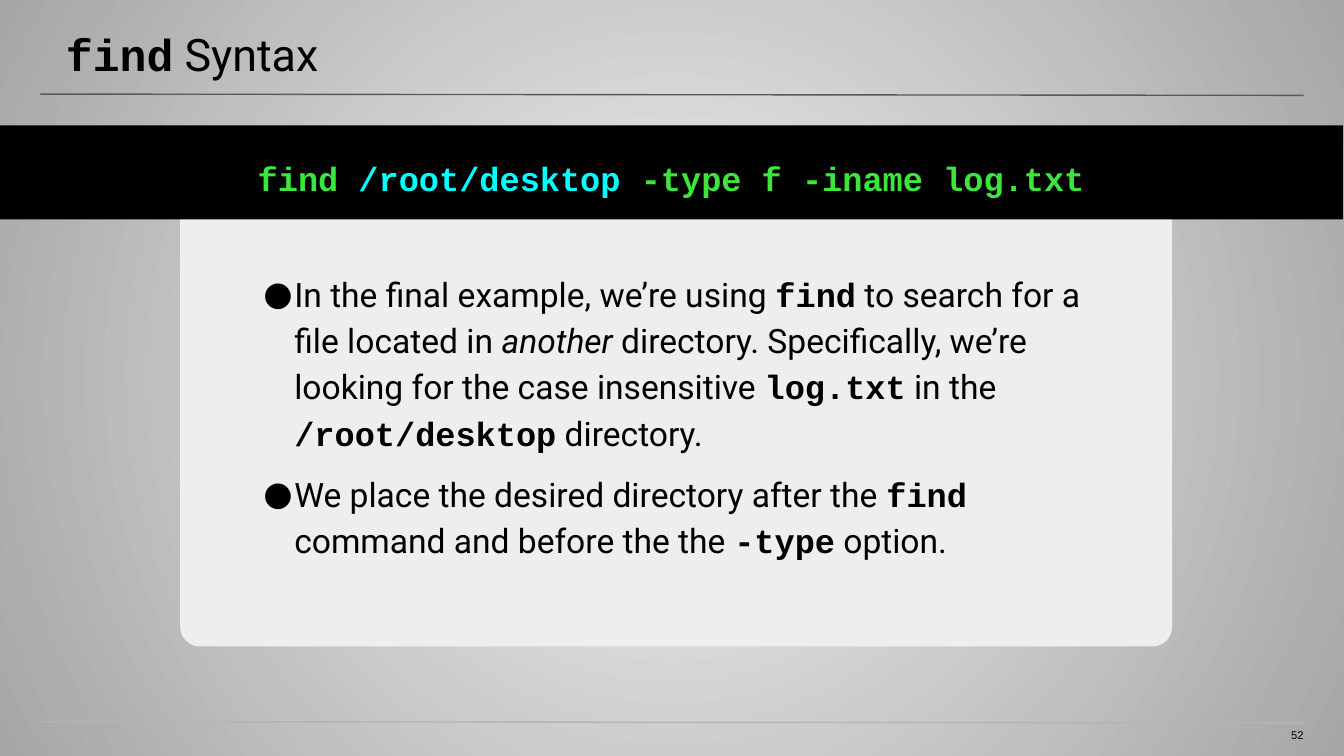
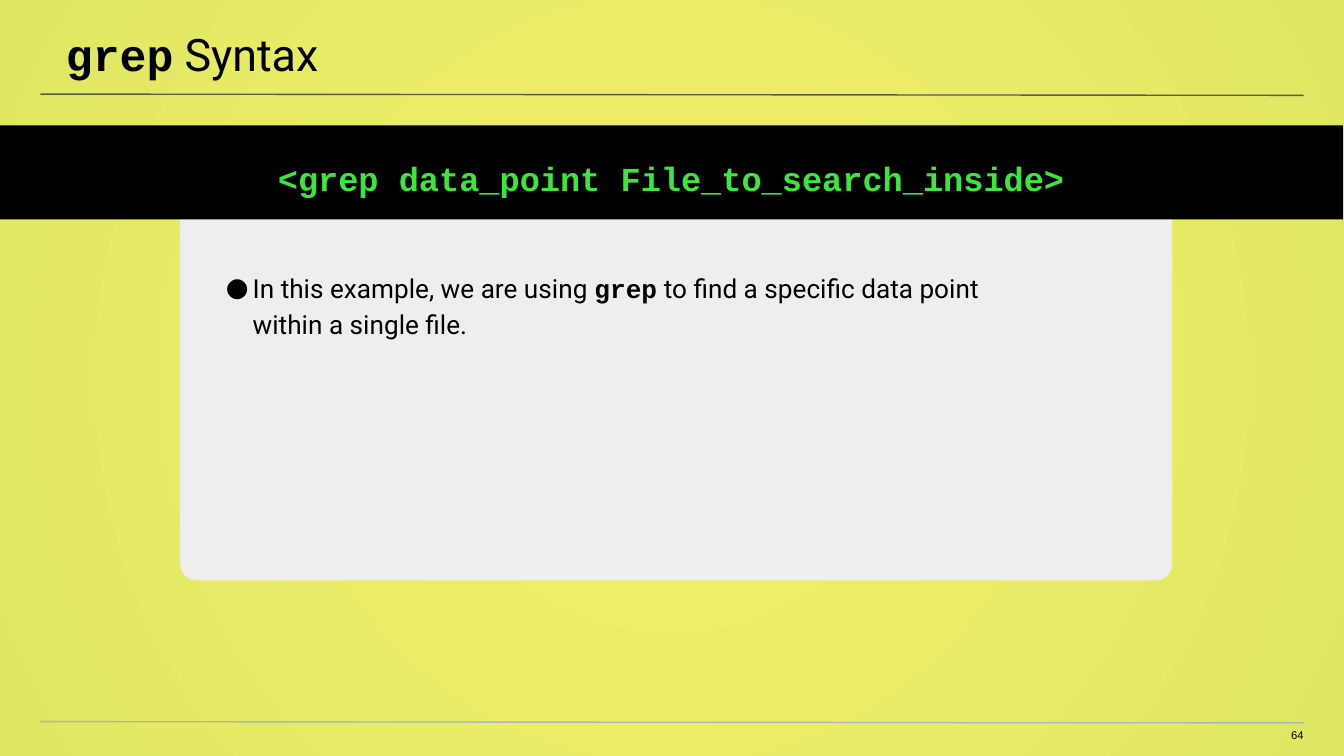
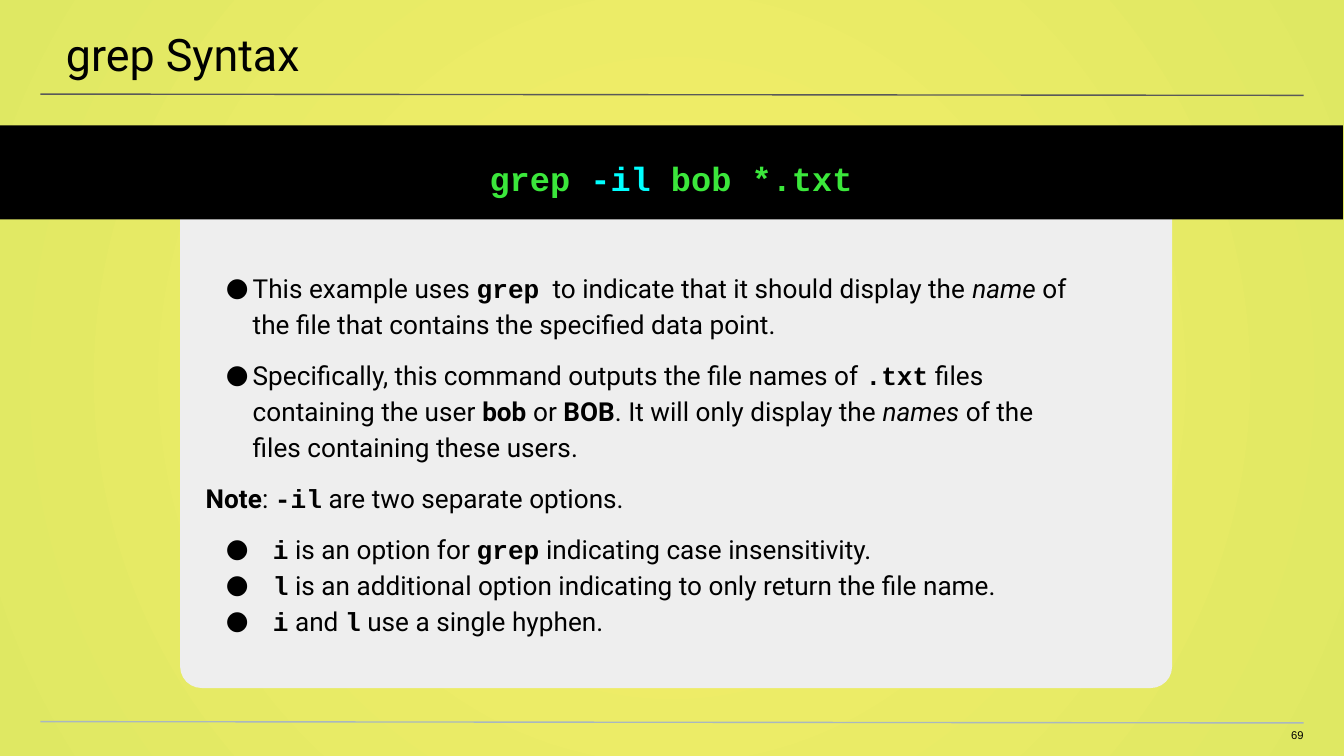
from lxml import etree
from pptx import Presentation
from pptx.dml.color import RGBColor
from pptx.enum import shapes, text
from pptx.oxml import parse_xml
from pptx.oxml.ns import nsdecls, qn
from pptx.util import Pt

BLACK = RGBColor(0x00, 0x00, 0x00)
PANEL = RGBColor(0xEE, 0xEE, 0xEE)
GREEN = RGBColor(0x3B, 0xE7, 0x3B)
CYAN = RGBColor(0x00, 0xFF, 0xFF)
TITLE_RULE = RGBColor(0x59, 0x59, 0x59)
FOOTER_RULE = RGBColor(0xA9, 0xB7, 0xC0)

GREY_GLOW = ('<a:srgbClr val="F2F2F2"/>', '<a:srgbClr val="A6A6A6"/>')
YELLOW_GLOW = ('<a:srgbClr val="F7EF6A"><a:alpha val="50000"/></a:srgbClr>',
               '<a:srgbClr val="DFE863"/>')

PLAIN, CODE, BOLD, ITALIC = "plain", "code", "bold", "italic"


def add_run(paragraph, words, size, style=PLAIN, color=BLACK, font=None):
    run = paragraph.add_run()
    run.text = words
    run.font.name = font or ("Courier New" if style == CODE else "Roboto")
    run.font.size = Pt(size)
    run.font.bold = style in (CODE, BOLD)
    run.font.italic = style == ITALIC
    run.font.color.rgb = color


def set_frame(frame, left, top, right, bottom):
    frame.word_wrap = True
    frame.auto_size = text.MSO_AUTO_SIZE.NONE
    frame.vertical_anchor = text.MSO_ANCHOR.TOP
    frame.margin_left, frame.margin_top = Pt(left), Pt(top)
    frame.margin_right, frame.margin_bottom = Pt(right), Pt(bottom)
    return frame.paragraphs[0]


lessons = [
    {
        "page": "52", "glow": GREY_GLOW, "panel_height": 233.3,
        "title": [("find", CODE), (" Syntax", PLAIN)],
        "command": [("find ", GREEN), ("/root/desktop", CYAN),
                    (" -type f -iname log.txt", GREEN)],
        "notes_box": (96.5, 537, 185), "size": 18,
        "notes": [
            (0, 25.2, -16.6, [
                ("In the final example, we’re using ", PLAIN), ("find", CODE),
                (" to search for a file located in ", PLAIN), ("another", ITALIC),
                (" directory. Specifically, we’re looking for the case insensitive ", PLAIN),
                ("log.txt", CODE), (" in the ", PLAIN),
                ("/root/desktop", CODE), (" directory.", PLAIN)]),
            (8, 25.2, -16.6, [
                ("We place the desired directory after the ", PLAIN), ("find", CODE),
                (" command and before the the ", PLAIN), ("-type", CODE),
                (" option.", PLAIN)]),
        ],
    },
    {
        "page": "64", "glow": YELLOW_GLOW, "panel_height": 198,
        "title": [("grep", CODE), (" Syntax", PLAIN)],
        "command": [("<grep data_point File_to_search_inside>", GREEN)],
        "notes_box": (74.2, 494.6, 154.8), "size": 14,
        "notes": [
            (0, 25.2, -14.4, [
                ("In this example, we are using ", PLAIN), ("grep", CODE),
                (" to find a specific data point within a single file.", PLAIN)]),
        ],
    },
    {
        "page": "69", "glow": YELLOW_GLOW, "panel_height": 255.6,
        "title": [("grep Syntax", PLAIN)],
        "command": [("grep ", GREEN), ("-il", CYAN), (" bob *.txt", GREEN)],
        "notes_box": (74.2, 537, 236.9), "size": 14,
        "notes": [
            (0, 25.2, -14.4, [
                ("This example uses ", PLAIN), ("grep", CODE),
                ("  to indicate that it should display the ", PLAIN), ("name", ITALIC),
                (" of the file that contains the specified data point.", PLAIN)]),
            (8, 25.2, -14.4, [
                ("Specifically, this command outputs the file names of ", PLAIN),
                (".txt", CODE), (" files containing the user ", PLAIN),
                ("bob", BOLD), (" or ", PLAIN), ("BOB", BOLD),
                (". It will only display the ", PLAIN), ("names", ITALIC),
                (" of the files containing these users.", PLAIN)]),
            (8, 0, 0, [
                ("Note", BOLD), (": ", PLAIN), ("-il", CODE),
                (" are two separate options.", PLAIN)]),
            (8, 36, -25.2, [
                ("i", CODE), (" is an option for ", PLAIN), ("grep", CODE),
                (" indicating case insensitivity.", PLAIN)]),
            (0, 36, -25.2, [
                ("l", CODE),
                (" is an additional option indicating to only return the file name.", PLAIN)]),
            (0, 36, -25.2, [
                ("i", CODE), (" and ", PLAIN), ("l", CODE),
                (" use a single hyphen.", PLAIN)]),
        ],
    },
]

prs = Presentation()
prs.slide_width, prs.slide_height = Pt(720), Pt(405)
title_only = prs.slide_layouts[5]

for lesson in lessons:
    slide = prs.slides.add_slide(title_only)
    inner, outer = lesson["glow"]
    slide.element.cSld.insert(0, parse_xml(
        f'<p:bg {nsdecls("p", "a")}><p:bgPr><a:gradFill rotWithShape="1"><a:gsLst>'
        f'<a:gs pos="0">{inner}</a:gs><a:gs pos="100000">{outer}</a:gs></a:gsLst>'
        '<a:path path="circle"><a:fillToRect l="50000" t="50000" r="50000" b="50000"/>'
        '</a:path></a:gradFill><a:effectLst/></p:bgPr></p:bg>'))

    for y, color in ((50.4, TITLE_RULE), (386.6, FOOTER_RULE)):
        rule = slide.shapes.add_connector(
            shapes.MSO_CONNECTOR.STRAIGHT, Pt(21.6), Pt(y), Pt(698.4), Pt(y + 0.7))
        rule.line.color.rgb = color
        rule.line.width = Pt(0.75)
        etree.SubElement(rule._element.spPr, qn("a:effectLst"))

    title = slide.shapes.title
    title.left, title.top, title.width, title.height = Pt(-0.7), Pt(0), Pt(722), Pt(41.8)
    heading = set_frame(title.text_frame, 36, 14.4, 21.6, 7.2)
    heading.alignment = text.PP_ALIGN.LEFT
    for words, style in lesson["title"]:
        add_run(heading, words, 24, style)

    page_number = slide.shapes.add_textbox(Pt(677.5), Pt(390.2), Pt(20.9), Pt(8.6))
    page = set_frame(page_number.text_frame, 0, 0, 0, 7.2)
    page.alignment = text.PP_ALIGN.RIGHT
    add_run(page, lesson["page"], 6, font="Arial")

    panel = slide.shapes.add_shape(
        shapes.MSO_SHAPE.ROUND_2_SAME_RECTANGLE,
        Pt(96.5), Pt(113), Pt(531.4), Pt(lesson["panel_height"]))
    panel.rotation = 180
    panel.adjustments[0], panel.adjustments[1] = 0.045, 0
    band = slide.shapes.add_shape(
        shapes.MSO_SHAPE.RECTANGLE, Pt(-0.5), Pt(67.2), Pt(720), Pt(50.4))
    for block, color in ((panel, PANEL), (band, BLACK)):
        block.shadow.inherit = False
        block.fill.solid()
        block.fill.fore_color.rgb = color
        block.line.fill.background()

    command = set_frame(band.text_frame, 7.2, 14.4, 7.2, 14.4)
    command.alignment = text.PP_ALIGN.CENTER
    command.line_spacing = 1.15
    for words, color in lesson["command"]:
        add_run(command, words, 18, CODE, color)

    left, width, height = lesson["notes_box"]
    notes = slide.shapes.add_textbox(Pt(left), Pt(143.3), Pt(width), Pt(height)).text_frame
    note = set_frame(notes, 36, 0, 36, 72)
    for index, (space_before, margin, indent, runs) in enumerate(lesson["notes"]):
        if index:
            note = notes.add_paragraph()
            note.space_before = Pt(space_before)
        note.line_spacing = 1.15
        if margin:
            props = note._p.get_or_add_pPr()
            props.set("marL", str(Pt(margin)))
            props.set("indent", str(Pt(indent)))
            bullet_color = etree.SubElement(props, qn("a:buClr"))
            etree.SubElement(bullet_color, qn("a:srgbClr")).set("val", str(BLACK))
            etree.SubElement(props, qn("a:buFont")).set("typeface", "Roboto")
            etree.SubElement(props, qn("a:buChar")).set("char", "●")
        for words, style in runs:
            add_run(note, words, lesson["size"], style)

prs.save("out.pptx")
